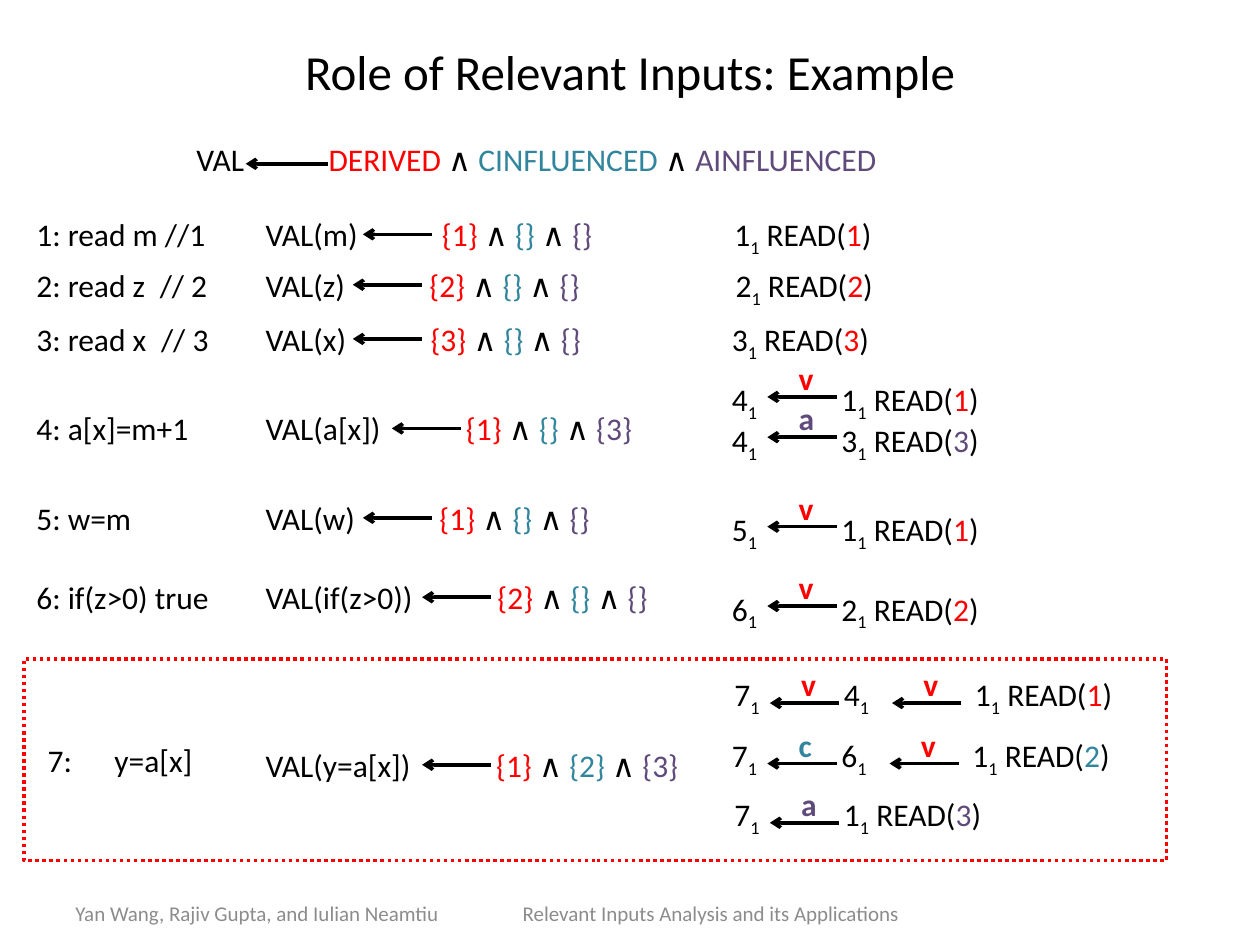
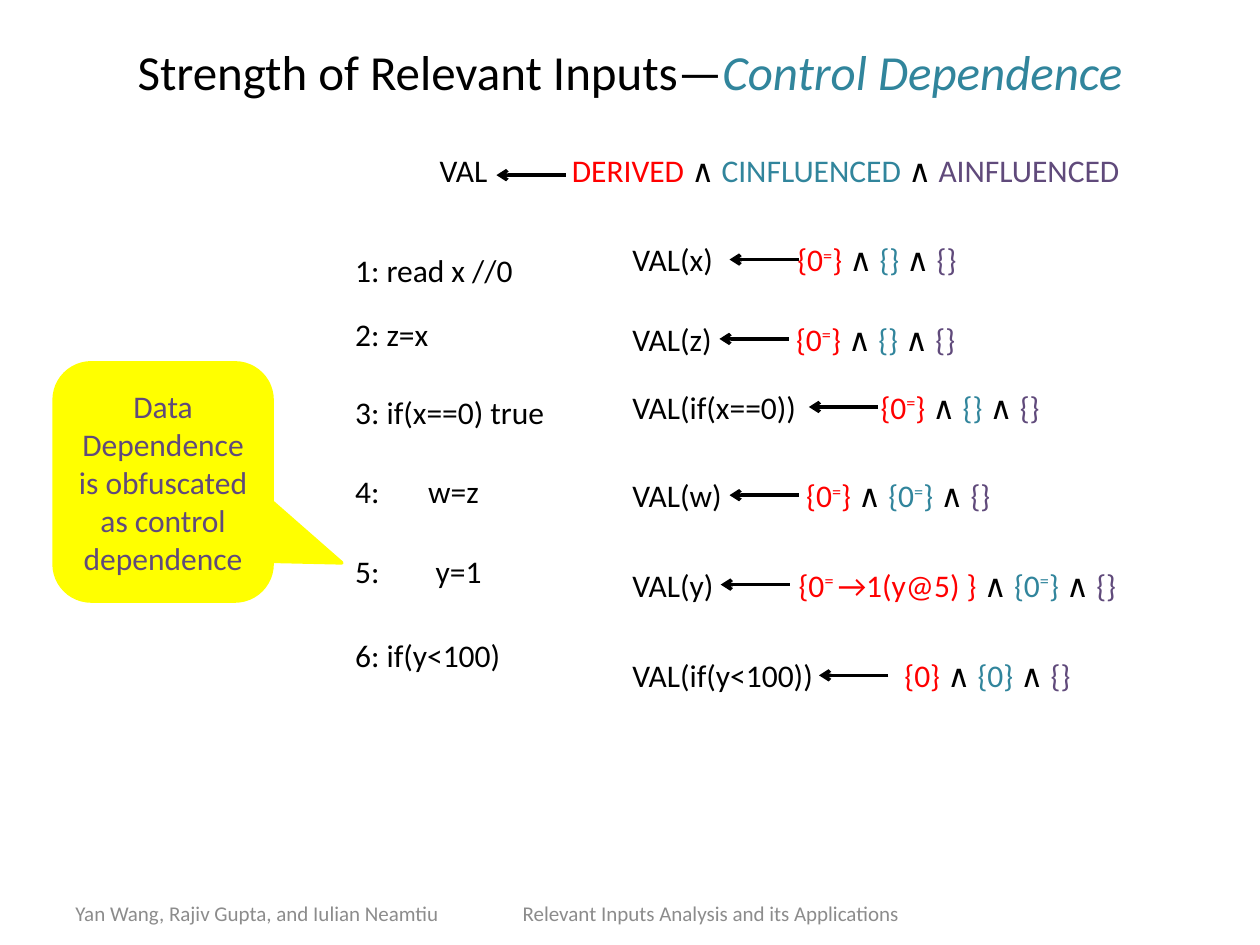
import dataclasses

import lxml.etree
import pptx
import pptx.dml.color
import pptx.enum.dml
import pptx.enum.shapes
import pptx.enum.text
import pptx.oxml.ns
import pptx.util


# Theme: colours, font and type sizes
@dataclasses.dataclass(frozen=True)
class Theme:
    ink: str = "000000"
    derived: str = "FF0000"
    control: str = "31859C"
    address: str = "604A7B"
    footer: str = "8C8C8C"
    callout: str = "FFFF00"
    font: str = "Calibri"
    title_size: int = 28
    body_size: int = 18
    footer_size: int = 12
    line_width: int = 2


theme = Theme()
Inches = pptx.util.Inches
qn = pptx.oxml.ns.qn
rgb = pptx.dml.color.RGBColor.from_string

# Grid, in inches
ROW_HEIGHT = 0.4
INSET = 0.1
ARROW_LENGTH = 0.55
FORMULA_TAB = 1.05
LINK_STEP = 0.97


def add_text(slide, box, runs, size=theme.body_size, tabs=(), shape=None, bold=False):
    """Write (text, colour) runs; "_" lowers and "^" raises the next character."""
    shape = shape or slide.shapes.add_textbox(0, 0, 0, 0)
    shape.left, shape.top, shape.width, shape.height = map(Inches, box)
    shape.text_frame.word_wrap = True
    paragraph = shape.text_frame.paragraphs[0]
    if tabs:
        tab_list = lxml.etree.SubElement(paragraph._p.get_or_add_pPr(), qn("a:tabLst"))
        for tab in tabs:
            lxml.etree.SubElement(tab_list, qn("a:tab"), pos=str(Inches(tab)), algn="l")
    for text, colour in runs:
        pieces = [(text, None)]
        if "_" in text or "^" in text:
            marked = text.replace("_", "\n_").replace("^", "\n^").split("\n")
            pieces = [(marked[0], None)]
            for part in marked[1:]:
                baseline = "-25000" if part[0] == "_" else "30000"
                pieces += [(part[1], baseline), (part[2:], None)]
        for piece, baseline in pieces:
            if not piece:
                continue
            run = paragraph.add_run()
            run.text = piece
            run.font.name = theme.font
            run.font.size = pptx.util.Pt(size)
            run.font.bold = bold
            run.font.color.rgb = rgb(colour)
            if baseline:
                run._r.get_or_add_rPr().set("baseline", baseline)
    return paragraph


def add_arrow(slide, start, y, length=ARROW_LENGTH):
    """Draw an arrow that points left from start."""
    arrow = slide.shapes.add_connector(
        pptx.enum.shapes.MSO_CONNECTOR.STRAIGHT,
        Inches(start), Inches(y), Inches(start - length), Inches(y))
    arrow.line.color.rgb = rgb(theme.ink)
    arrow.line.width = pptx.util.Pt(theme.line_width)
    lxml.etree.SubElement(arrow.line._get_or_add_ln(), qn("a:tailEnd"), type="arrow")
    lxml.etree.SubElement(arrow._element.spPr, qn("a:effectLst"))


presentation = pptx.Presentation()
presentation.slide_width = Inches(10)
presentation.slide_height = Inches(7.5)

# Each slide: title runs, formula (left, top, arrow start, arrow length),
# statements (left, top, text, tab) and
# values (top, name, arrow start, left of sets, derived, control, address)
slides = [
    {
        "title": [("Role of Relevant Inputs: Example", theme.ink)],
        "formula": (1.46, 1.06, 2.6, 0.65),
        "statements": [
            (0.19, 1.66, "1: read m //1", None),
            (0.19, 2.06, "2: read z\t// 2", 0.98),
            (0.19, 2.49, "3: read x\t// 3", 0.99),
            (0.19, 3.2, "4: a[x]=m+1", None),
            (0.19, 3.91, "5: w=m", None),
            (0.19, 4.54, "6: if(z>0) true", None),
            (0.28, 5.83, "7:\ty=a[x]", 0.53),
        ],
        "value_column": 2.01,
        "values": [
            (1.66, "m", 3.43, 3.51, "{1}", "{}", "{}"),
            (2.06, "z", 3.35, 3.41, "{2}", "{}", "{}"),
            (2.49, "x", 3.35, 3.42, "{3}", "{}", "{}"),
            (3.2, "a[x]", 3.66, 3.7, "{1}", "{}", "{3}"),
            (3.91, "w", 3.43, 3.49, "{1}", "{}", "{}"),
            (4.54, "if(z>0)", 3.9, 3.95, "{2}", "{}", "{}"),
            (5.87, "y=a[x]", 3.9, 3.94, "{1}", "{2}", "{3}"),
        ],
    },
    {
        "title": [("Strength of Relevant Inputs—", theme.ink),
                  ("Control Dependence", theme.control)],
        "formula": (3.39, 1.15, 4.49, ARROW_LENGTH),
        "statements": [
            (2.72, 1.94, "1: read x //0", None),
            (2.72, 2.45, "2: z=x", None),
            (2.72, 3.07, "3: if(x==0) true", None),
            (2.72, 3.7, "4:\tw=z", 0.58),
            (2.72, 4.33, "5:\ty=1", 0.64),
            (2.72, 5, "6: if(y<100)", None),
        ],
        "value_column": 4.92,
        "values": [
            (1.86, "x", 6.34, 6.33, "{0^=}", "{}", "{}"),
            (2.49, "z", 6.26, 6.32, "{0^=}", "{}", "{}"),
            (3.03, "if(x==0)", 6.97, 6.99, "{0^=}", "{}", "{}"),
            (3.73, "w", 6.34, 6.4, "{0^=}", "{0^=}", "{}"),
            (4.44, "y", 6.27, 6.34, "{0^=^ →1(y@5) }", "{0^=}", "{}"),
            (5.16, "if(y<100)", 7.05, 7.18, "{0}", "{0}", "{}"),
        ],
    },
]

for content in slides:
    slide = presentation.slides.add_slide(presentation.slide_layouts[5])

    # Title and footer
    title = add_text(slide, (0.5, 0.08, 9, 0.97), content["title"],
                     theme.title_size, shape=slide.shapes.title)
    title.alignment = pptx.enum.text.PP_ALIGN.CENTER
    for run in title.runs[1:]:
        run.font.italic = True
    slide.shapes.title.text_frame.vertical_anchor = pptx.enum.text.MSO_ANCHOR.MIDDLE
    add_text(slide, (0.5, 7.1, 7.25, 0.3),
             [("Yan Wang, Rajiv Gupta, and Iulian Neamtiu\t"
               "Relevant Inputs Analysis and its Applications", theme.footer)],
             theme.footer_size, tabs=[3.55])

    # Formula and value rows, which share one pattern
    left, top, arrow_start, arrow_length = content["formula"]
    rows = [(left, top, "VAL", FORMULA_TAB, "DERIVED", "CINFLUENCED", "AINFLUENCED")]
    add_arrow(slide, arrow_start, top + 0.24, arrow_length)
    column = content["value_column"]
    for top, name, arrow_start, sets_left, *sets in content["values"]:
        rows.append((column, top, f"VAL({name})", sets_left - column - INSET, *sets))
        add_arrow(slide, arrow_start, top + ROW_HEIGHT / 2)
    for left, top, name, tab, derived, control, address in rows:
        add_text(slide, (left, top, 6.1, ROW_HEIGHT),
                 [(name + "\t", theme.ink),
                  (derived + " ", theme.derived), ("∧ ", theme.ink),
                  (control + " ", theme.control), ("∧ ", theme.ink),
                  (address, theme.address)], tabs=[tab])

    # Program statements
    for left, top, text, tab in content["statements"]:
        add_text(slide, (left, top, 1.9, ROW_HEIGHT), [(text, theme.ink)],
                 tabs=[tab] if tab else ())

example_slide, strength_slide = presentation.slides

# Dependence chains: left, top, arrow drop, nodes, links, input read, its colour
value_link = ("v", theme.derived)
control_link = ("c", theme.control)
address_link = ("a", theme.address)
chains = [
    (5.73, 1.66, 0, "1", [], "1", theme.derived),
    (5.74, 2.06, 0, "2", [], "2", theme.derived),
    (5.71, 2.49, 0, "3", [], "3", theme.derived),
    (5.71, 2.97, 0.18, "41", [value_link], "1", theme.derived),
    (5.71, 3.29, 0.18, "43", [address_link], "3", theme.address),
    (5.71, 4, 0.18, "51", [value_link], "1", theme.derived),
    (5.71, 4.63, 0.18, "62", [value_link], "2", theme.derived),
    (5.73, 5.31, 0.27, "741", [value_link, value_link], "1", theme.derived),
    (5.71, 5.79, 0.27, "761", [control_link, value_link], "2", theme.control),
    (5.73, 6.26, 0.27, "71", [address_link], "3", theme.address),
]
for left, top, drop, nodes, links, input_read, colour in chains:
    path_text = "\t".join(f"{node}_1" for node in nodes)
    add_text(example_slide, (left, top, 4, ROW_HEIGHT),
             [(path_text + " READ(", theme.ink), (input_read, colour), (")", theme.ink)],
             tabs=[0.87, 1.91])
    for index, link in enumerate(links):
        arrow_start = left + 0.93 + index * LINK_STEP
        add_arrow(example_slide, arrow_start, top + drop)
        add_text(example_slide, (arrow_start - 0.4, top + drop - 0.35, 0.4, ROW_HEIGHT),
                 [link], bold=True)

# Dotted frame around statement 7
frame = example_slide.shapes.add_shape(
    pptx.enum.shapes.MSO_SHAPE.RECTANGLE, *map(Inches, (0.19, 5.23, 9.07, 1.6)))
frame.shadow.inherit = False
frame.fill.background()
frame.line.color.rgb = rgb(theme.derived)
frame.line.width = pptx.util.Pt(theme.line_width)
frame.line.dash_style = pptx.enum.dml.MSO_LINE.ROUND_DOT

# Callout pointing at statement 5
callout_box = (0.43, 2.88, 1.73, 1.89)
callout = strength_slide.shapes.add_shape(
    pptx.enum.shapes.MSO_SHAPE.ROUNDED_RECTANGULAR_CALLOUT, *map(Inches, callout_box))
callout.shadow.inherit = False
for index, adjustment in enumerate((0.82, 0.34, 0.17)):
    callout.adjustments[index] = adjustment
callout.fill.solid()
callout.fill.fore_color.rgb = rgb(theme.callout)
callout.line.color.rgb = rgb(theme.callout)
callout.line.width = pptx.util.Pt(theme.line_width)
callout_text = add_text(
    strength_slide, callout_box,
    [("Data Dependence is obfuscated as control dependence", theme.address)], shape=callout)
callout_text.alignment = pptx.enum.text.PP_ALIGN.CENTER
callout.text_frame.vertical_anchor = pptx.enum.text.MSO_ANCHOR.MIDDLE

presentation.save("out.pptx")
